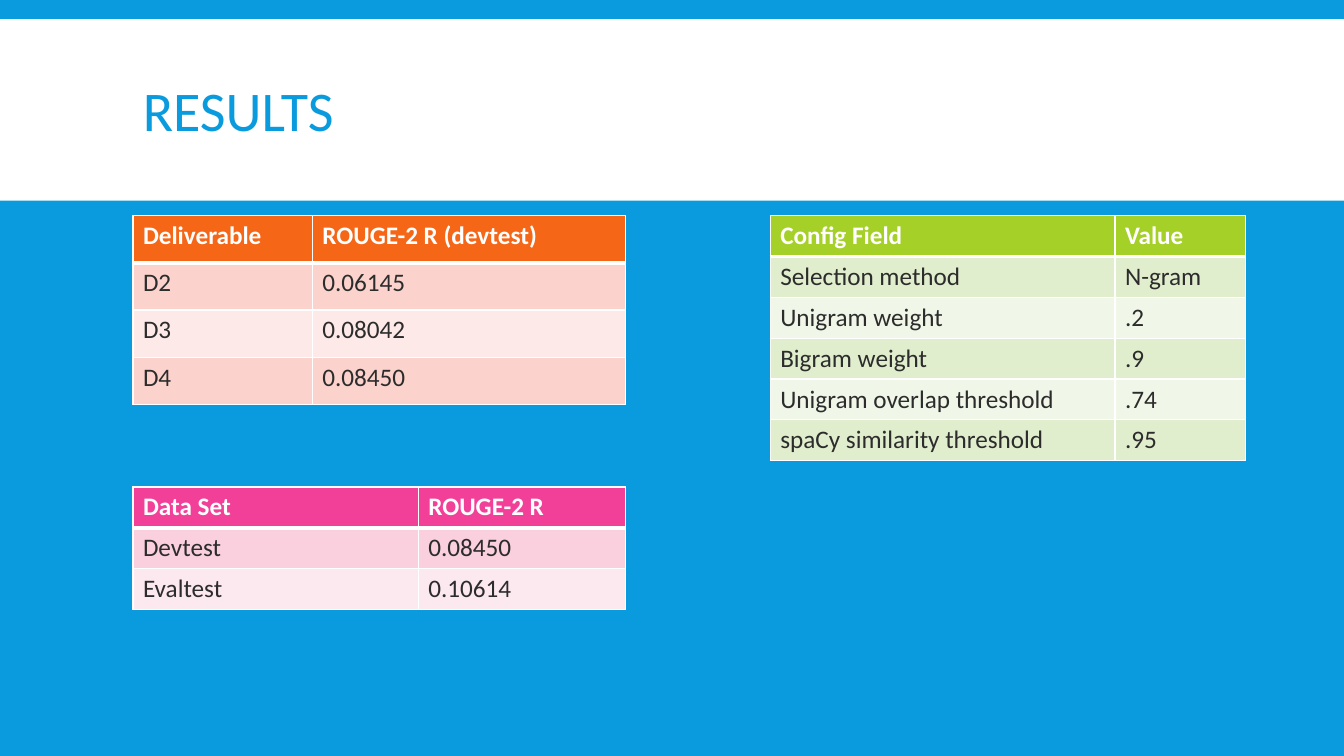
from dataclasses import dataclass

from lxml.etree import SubElement
from pptx import Presentation
from pptx.dml.color import RGBColor as Color
from pptx.enum.shapes import MSO_SHAPE as Shape
from pptx.enum.text import MSO_ANCHOR as Anchor
from pptx.oxml.ns import qn
from pptx.util import Cm, Pt


@dataclass(frozen=True)
class Theme:
    font: str = "Calibri"
    blue: str = "099BDD"
    white: str = "FFFFFF"
    ink: str = "2C2C2C"
    # Each palette: header, odd rows, even rows
    orange: tuple = ("F56617", "FBD3CC", "FDEAE8")
    pink: tuple = ("F24099", "FACFDE", "FCE8EF")
    green: tuple = ("A5D028", "E1EECD", "F0F7E8")
    title_size: int = 40
    table_size: int = 18
    thin: int = 1
    thick: int = 3


class SlideBuilder:
    def __init__(self, slide, theme):
        self.slide = slide
        self.theme = theme

    def paint(self, fill, color):
        fill.solid()
        fill.fore_color.rgb = Color.from_string(color)

    def set_text(self, frame, text, size, color, bold=False):
        para = frame.paragraphs[0]
        para.text = text
        font = para.runs[0].font
        font.name = self.theme.font
        font.size = Pt(size)
        font.bold = bold
        font.color.rgb = Color.from_string(color)
        return para

    def background(self, color):
        self.paint(self.slide.background.fill, color)

    def band(self, left, top, width, height, color):
        band = self.slide.shapes.add_shape(
            Shape.RECTANGLE, Cm(left), Cm(top), Cm(width), Cm(height))
        band.shadow.inherit = False
        band.line.fill.background()
        self.paint(band.fill, color)

    def title(self, text, left, top, width, height):
        box = self.slide.shapes.add_textbox(Cm(left), Cm(top), Cm(width), Cm(height))
        frame = box.text_frame
        frame.word_wrap = True
        frame.vertical_anchor = Anchor.MIDDLE
        para = self.set_text(frame, text, self.theme.title_size, self.theme.blue)
        para.line_spacing = 0.85

    def borders(self, cell, row):
        """Draw white cell edges, with a thick rule under the header row."""
        theme = self.theme
        top = theme.thick if row == 1 else theme.thin
        bottom = theme.thick if row == 0 else theme.thin
        edges = {"a:lnL": theme.thin, "a:lnR": theme.thin, "a:lnT": top, "a:lnB": bottom}
        properties = cell._tc.get_or_add_tcPr()
        for tag, width in edges.items():
            line = SubElement(properties, qn(tag), w=str(Pt(width)))
            fill = SubElement(line, qn("a:solidFill"))
            SubElement(fill, qn("a:srgbClr"), val=theme.white)

    def table(self, left, top, widths, row_height, palette, rows):
        theme = self.theme
        table = self.slide.shapes.add_table(
            len(rows), len(widths), Cm(left), Cm(top),
            Cm(sum(widths)), Cm(row_height * len(rows))).table
        for column, width in zip(table.columns, widths):
            column.width = Cm(width)
        header, odd, even = palette
        for index, values in enumerate(rows):
            table.rows[index].height = Cm(row_height)
            is_header = index == 0
            shade = header if is_header else (odd if index % 2 else even)
            ink = theme.white if is_header else theme.ink
            for cell, value in zip(table.rows[index].cells, values):
                self.borders(cell, index)
                self.paint(cell.fill, shade)
                self.set_text(cell.text_frame, value, theme.table_size, ink, is_header)


def main():
    theme = Theme()
    deck = Presentation()
    deck.slide_width, deck.slide_height = Cm(33.87), Cm(19.05)
    page = SlideBuilder(deck.slides.add_slide(deck.slide_layouts[6]), theme)

    page.background(theme.blue)
    page.band(0, 0.48, 33.87, 4.58, theme.white)
    left, top = 3.35, 5.43
    page.title("RESULTS", left, 0.79, 27.18, 4.19)

    page.table(left, top, (4.52, 7.9), 1.19, theme.orange, [
        ("Deliverable", "ROUGE-2 R (devtest)"),
        ("D2", "0.06145"),
        ("D3", "0.08042"),
        ("D4", "0.08450"),
    ])
    page.table(left, 12.27, (7.19, 5.23), 1.03, theme.pink, [
        ("Data Set", "ROUGE-2 R"),
        ("Devtest", "0.08450"),
        ("Evaltest", "0.10614"),
    ])
    page.table(19.41, top, (8.69, 3.28), 1.03, theme.green, [
        ("Config Field", "Value"),
        ("Selection method", "N-gram"),
        ("Unigram weight", ".2"),
        ("Bigram weight", ".9"),
        ("Unigram overlap threshold", ".74"),
        ("spaCy similarity threshold", ".95"),
    ])
    deck.save("out.pptx")


if __name__ == "__main__":
    main()
